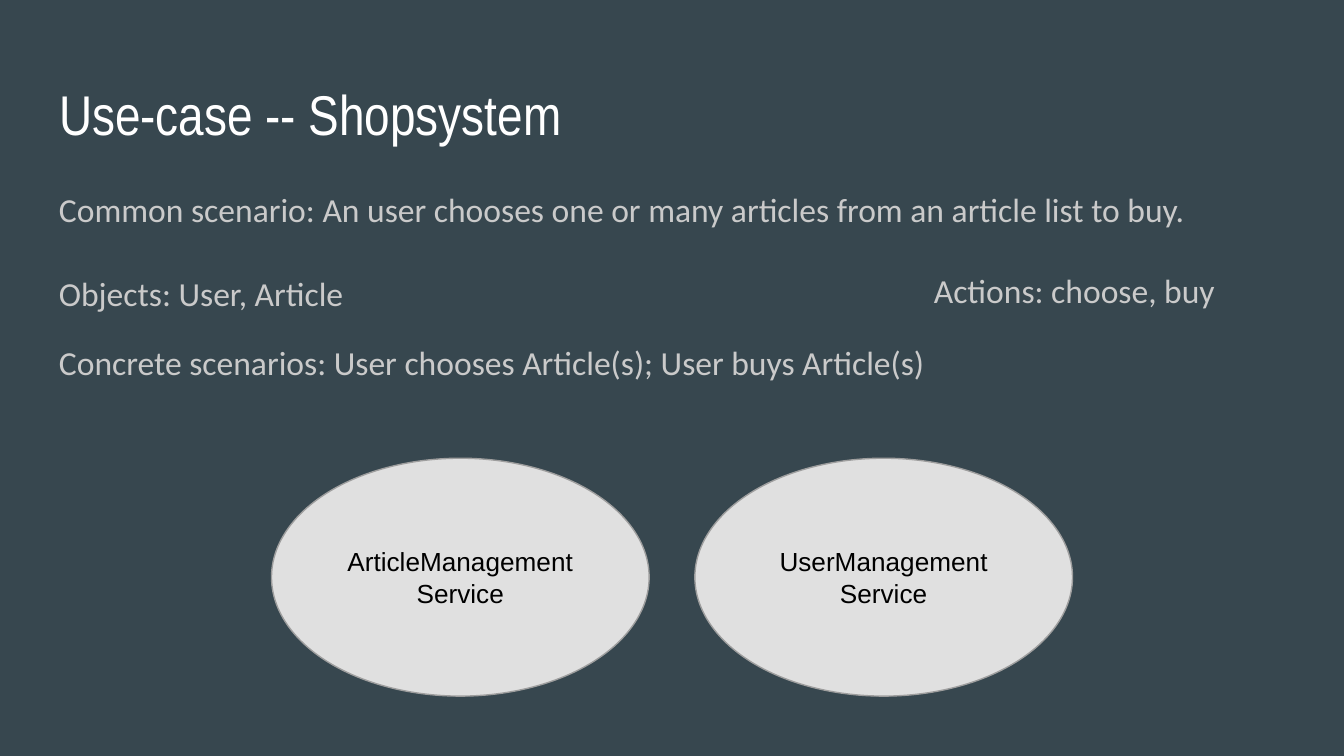
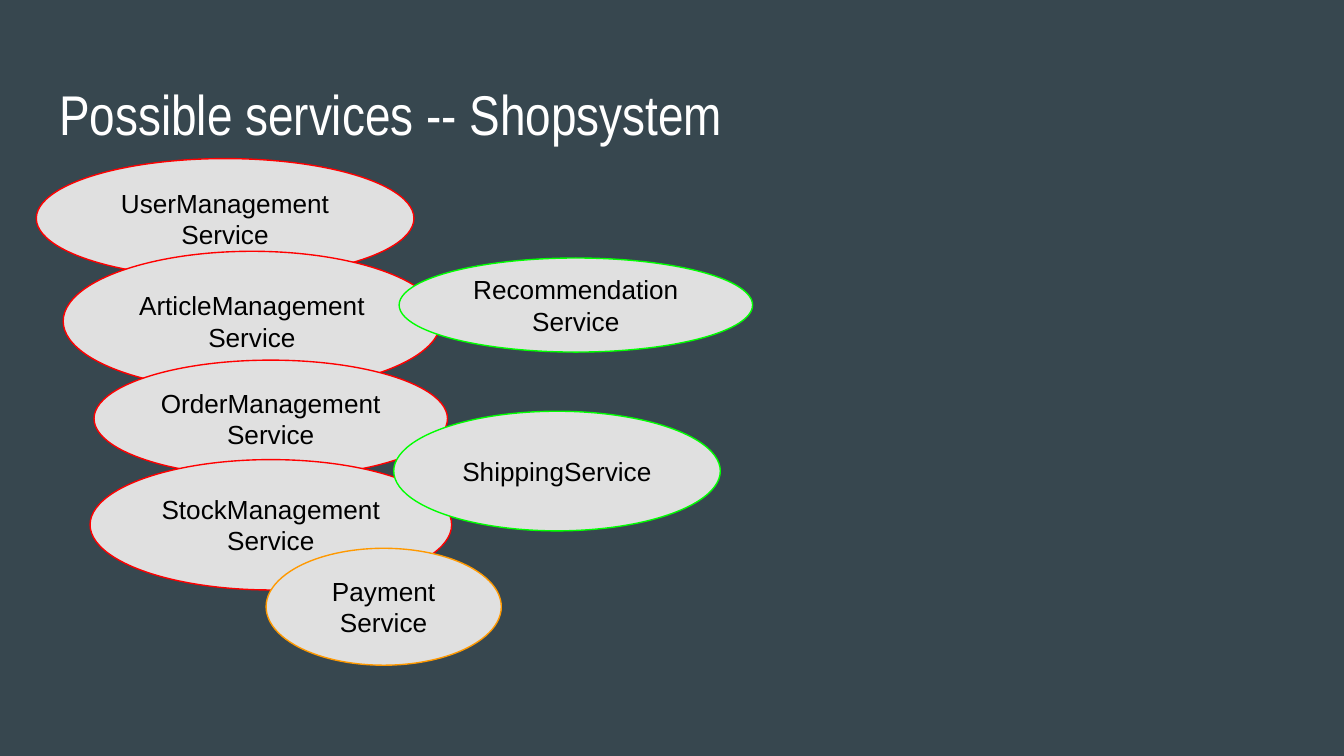
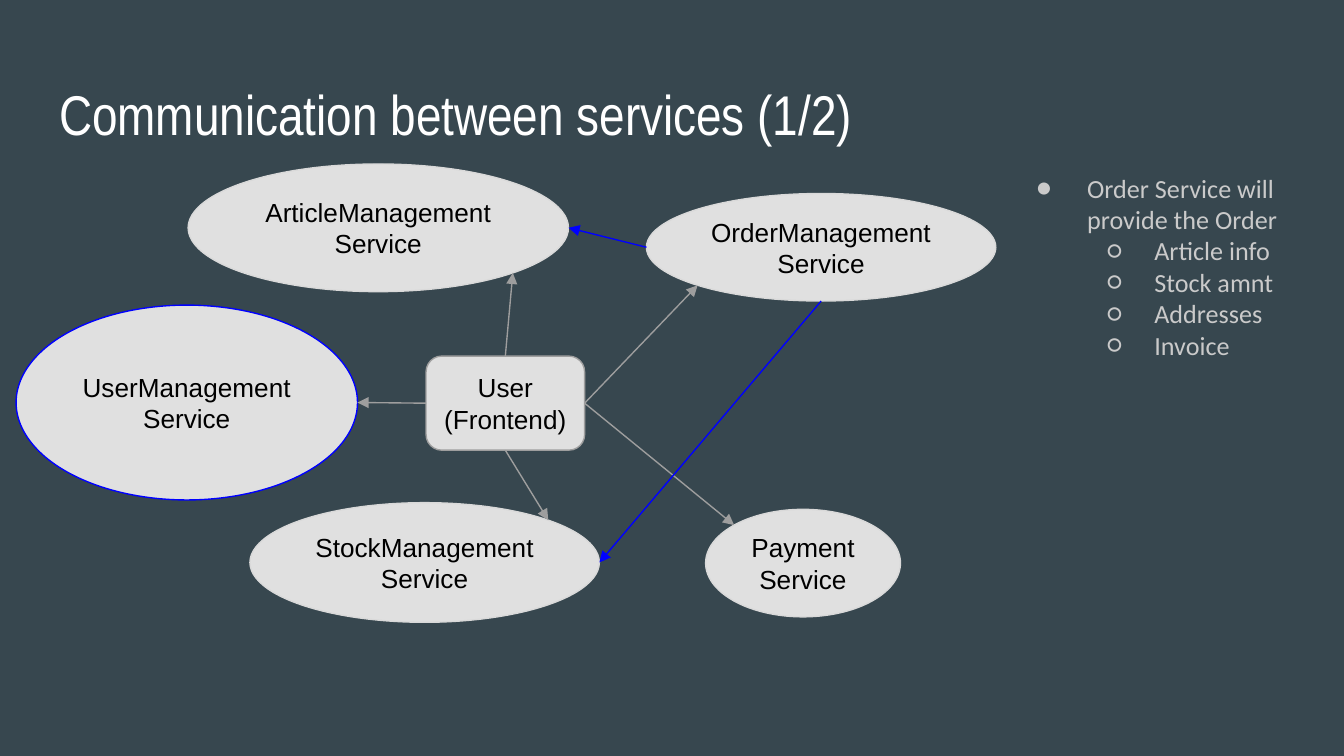
from math import cos, radians, sin

from lxml import etree
from pptx import Presentation
from pptx.dml.color import RGBColor
from pptx.enum.shapes import MSO_CONNECTOR, MSO_SHAPE
from pptx.enum.text import MSO_ANCHOR, MSO_AUTO_SIZE, PP_ALIGN
from pptx.oxml.ns import qn
from pptx.util import Inches, Pt

ELLIPSE, ROUNDED = MSO_SHAPE.OVAL, MSO_SHAPE.ROUNDED_RECTANGLE
STRAIGHT = MSO_CONNECTOR.STRAIGHT
TOP, MIDDLE = MSO_ANCHOR.TOP, MSO_ANCHOR.MIDDLE
LEFT, CENTER = PP_ALIGN.LEFT, PP_ALIGN.CENTER
NO_FIT = MSO_AUTO_SIZE.NONE

PAGE_WIDTH = 10
PAGE_HEIGHT = PAGE_WIDTH * 9 / 16

BACKGROUND, WHITE, BLACK = "37474F", "FFFFFF", "000000"
BODY, SHAPE_FILL = "CACACA", "E0E0E0"
GRAY, LIGHT, BLUE = "9E9E9E", "D9D9D9", "0000FF"
RED, GREEN, ORANGE = "FF0000", "00FF00", "FF9900"
TITLE_FONT, BODY_FONT, NODE_FONT = "Arial Narrow", "Calibri", "Arial"

USER, ARTICLE = "UserManagement\nService", "ArticleManagement\nService"
ORDER, STOCK = "OrderManagement\nService", "StockManagement\nService"
PAYMENT = "Payment\nService"

BOX_TOP, BOX_LEFT, BOX_BOTTOM, BOX_RIGHT = range(4)
RIM_RIGHT, RIM_LOWER_RIGHT, RIM_BOTTOM, RIM_LOWER_LEFT = 0, 45, 90, 135
RIM_LEFT, RIM_UPPER_LEFT, RIM_UPPER_RIGHT = 180, 225, 315


def color(value):
    """Turn a hex string into a colour."""
    return RGBColor.from_string(value)


def inches(box):
    """Turn a box given in inches into lengths."""
    return [Inches(value) for value in box]


def set_font(para, name, size, value):
    """Set the font of a whole paragraph."""
    para.font.name = name
    para.font.size = Pt(size)
    para.font.color.rgb = color(value)


def set_frame(frame, anchor):
    """Give a text frame the shared insets, wrapping and anchor."""
    frame.word_wrap = True
    frame.auto_size = NO_FIT
    frame.vertical_anchor = anchor
    frame.margin_left = frame.margin_right = Inches(0.1)
    frame.margin_top = frame.margin_bottom = Inches(0.1)


def add_page(deck, title):
    """Add a title-only slide with its formatted title."""
    page = deck.slides.add_slide(deck.slide_layouts[5])
    holder = page.shapes.title
    holder.left, holder.top, holder.width, holder.height = inches((0.34, 0.49, 9.32, 0.63))
    set_frame(holder.text_frame, TOP)
    para = holder.text_frame.paragraphs[0]
    para.text = title
    para.alignment = LEFT
    set_font(para, TITLE_FONT, 30, WHITE)
    return page


def add_statement(page, box, text, anchor=MIDDLE, spacing=1.15, after=16):
    """Add one line of body text."""
    frame = page.shapes.add_textbox(*inches(box)).text_frame
    set_frame(frame, anchor)
    para = frame.paragraphs[0]
    para.text = text
    para.line_spacing = spacing
    para.space_after = Pt(after)
    set_font(para, BODY_FONT, 18, BODY)


def add_node(page, box, text, outline, kind=ELLIPSE):
    """Add a labelled service or client shape."""
    node = page.shapes.add_shape(kind, *inches(box))
    node.shadow.inherit = False
    node.fill.solid()
    node.fill.fore_color.rgb = color(SHAPE_FILL)
    node.line.color.rgb = color(outline)
    node.line.width = Pt(0.75)
    set_frame(node.text_frame, MIDDLE)
    para = node.text_frame.paragraphs[0]
    para.text = text
    para.alignment = CENTER
    set_font(para, NODE_FONT, 14, BLACK)
    return node


def center(node):
    """Return the centre of a shape."""
    return node.left + node.width // 2, node.top + node.height // 2


def rim(ellipse, degrees):
    """Return a point on an ellipse, with angles running clockwise from the right."""
    x, y = center(ellipse)
    angle = radians(degrees)
    return (int(x + ellipse.width / 2 * cos(angle)),
            int(y + ellipse.height / 2 * sin(angle)))


def add_arrow(page, start, end, value):
    """Add a straight line with an arrowhead at its end."""
    arrow = page.shapes.add_connector(STRAIGHT, *start, *end)
    arrow.line.color.rgb = color(value)
    arrow.line.width = Pt(0.75)
    properties = arrow.element.spPr
    line = properties.find(qn("a:ln"))
    etree.SubElement(line, qn("a:tailEnd"), type="triangle")
    etree.SubElement(properties, qn("a:effectLst"))
    return arrow


def add_bullets(page, box, items):
    """Add a bulleted list from pairs of level and text."""
    styles = (("●", 0.5, -0.38), ("○", 1, -0.35))
    frame = page.shapes.add_textbox(*inches(box)).text_frame
    set_frame(frame, TOP)
    for index, (level, text) in enumerate(items):
        para = frame.add_paragraph() if index else frame.paragraphs[0]
        para.text = text
        para.level = level
        set_font(para, BODY_FONT, 14, BODY)
        mark, margin, indent = styles[level]
        properties = para._p.get_or_add_pPr()
        properties.set("marL", str(Inches(margin)))
        properties.set("indent", str(Inches(indent)))
        bullet_color = etree.Element(qn("a:buClr"))
        etree.SubElement(bullet_color, qn("a:srgbClr"), val=BODY)
        bullet_font = etree.Element(qn("a:buFont"), typeface=BODY_FONT)
        bullet = etree.Element(qn("a:buChar"), char=mark)
        for place, part in enumerate((bullet_color, bullet_font, bullet)):
            properties.insert(place, part)


def build_use_case(deck):
    """Build the slide that derives two services from a scenario."""
    page = add_page(deck, "Use-case -- Shopsystem")
    add_statement(page, (0.34, 1.26, 9.32, 0.5),
                  "Common scenario: An user chooses one or many articles from an article list to buy.",
                  anchor=TOP, after=0)
    add_statement(page, (0.34, 1.91, 2.54, 0.5), "Objects: User, Article")
    add_statement(page, (6.85, 1.91, 2.35, 0.5), "Actions: choose, buy", spacing=1.0)
    add_statement(page, (0.34, 2.42, 7.11, 0.5),
                  "Concrete scenarios: User chooses Article(s); User buys Article(s)")
    for index, service in enumerate((ARTICLE, USER)):
        add_node(page, (2.02 + 3.15 * index, 3.41, 2.81, 1.77), service, GRAY)


def build_services(deck):
    """Build the slide of candidate services."""
    page = add_page(deck, "Possible services -- Shopsystem")
    services = (
        ((0.27, 1.18, 2.81, 0.89), USER, RED),
        ((0.47, 1.87, 2.81, 1.04), ARTICLE, RED),
        ((0.7, 2.68, 2.63, 0.87), ORDER, RED),
        ((0.67, 3.42, 2.69, 0.97), STOCK, RED),
        ((1.98, 4.08, 1.75, 0.87), PAYMENT, ORANGE),
        ((2.97, 1.92, 2.63, 0.7), "Recommendation\nService", GREEN),
        ((2.93, 3.06, 2.43, 0.89), "ShippingService", GREEN),
    )
    for box, text, outline in services:
        add_node(page, box, text, outline)


def build_communication(deck):
    """Build the slide of calls between the frontend and the services."""
    page = add_page(deck, "Communication between services (1/2)")
    user = add_node(page, (0.12, 2.27, 2.54, 1.45), USER, BLUE)
    article = add_node(page, (1.4, 1.22, 2.83, 0.95), ARTICLE, LIGHT)
    order = add_node(page, (4.81, 1.44, 2.6, 0.8), ORDER, LIGHT)
    stock = add_node(page, (1.86, 3.74, 2.6, 0.89), STOCK, LIGHT)
    payment = add_node(page, (5.25, 3.79, 1.45, 0.8), PAYMENT, LIGHT)
    frontend = add_node(page, (3.17, 2.65, 1.18, 0.7), "User (Frontend)", GRAY, ROUNDED)

    frontend_calls = (
        (BOX_TOP, article, RIM_LOWER_RIGHT),
        (BOX_RIGHT, order, RIM_LOWER_LEFT),
        (BOX_RIGHT, payment, RIM_UPPER_LEFT),
        (BOX_BOTTOM, stock, RIM_UPPER_RIGHT),
        (BOX_LEFT, user, RIM_RIGHT),
    )
    for side, service, degrees in frontend_calls:
        arrow = add_arrow(page, center(frontend), rim(service, degrees), GRAY)
        arrow.begin_connect(frontend, side)
    for degrees, service in ((RIM_LEFT, article), (RIM_BOTTOM, stock)):
        add_arrow(page, rim(order, degrees), rim(service, RIM_RIGHT), BLUE)

    add_bullets(page, (7.49, 1.18, 2.38, 1.75), (
        (0, "Order Service will provide the Order"),
        (1, "Article info"),
        (1, "Stock amnt"),
        (1, "Addresses"),
        (1, "Invoice"),
    ))


def main():
    """Build and save the deck."""
    deck = Presentation()
    deck.slide_width, deck.slide_height = Inches(PAGE_WIDTH), Inches(PAGE_HEIGHT)
    fill = deck.slide_master.background.fill
    fill.solid()
    fill.fore_color.rgb = color(BACKGROUND)
    build_use_case(deck)
    build_services(deck)
    build_communication(deck)
    deck.save("out.pptx")


if __name__ == "__main__":
    main()
